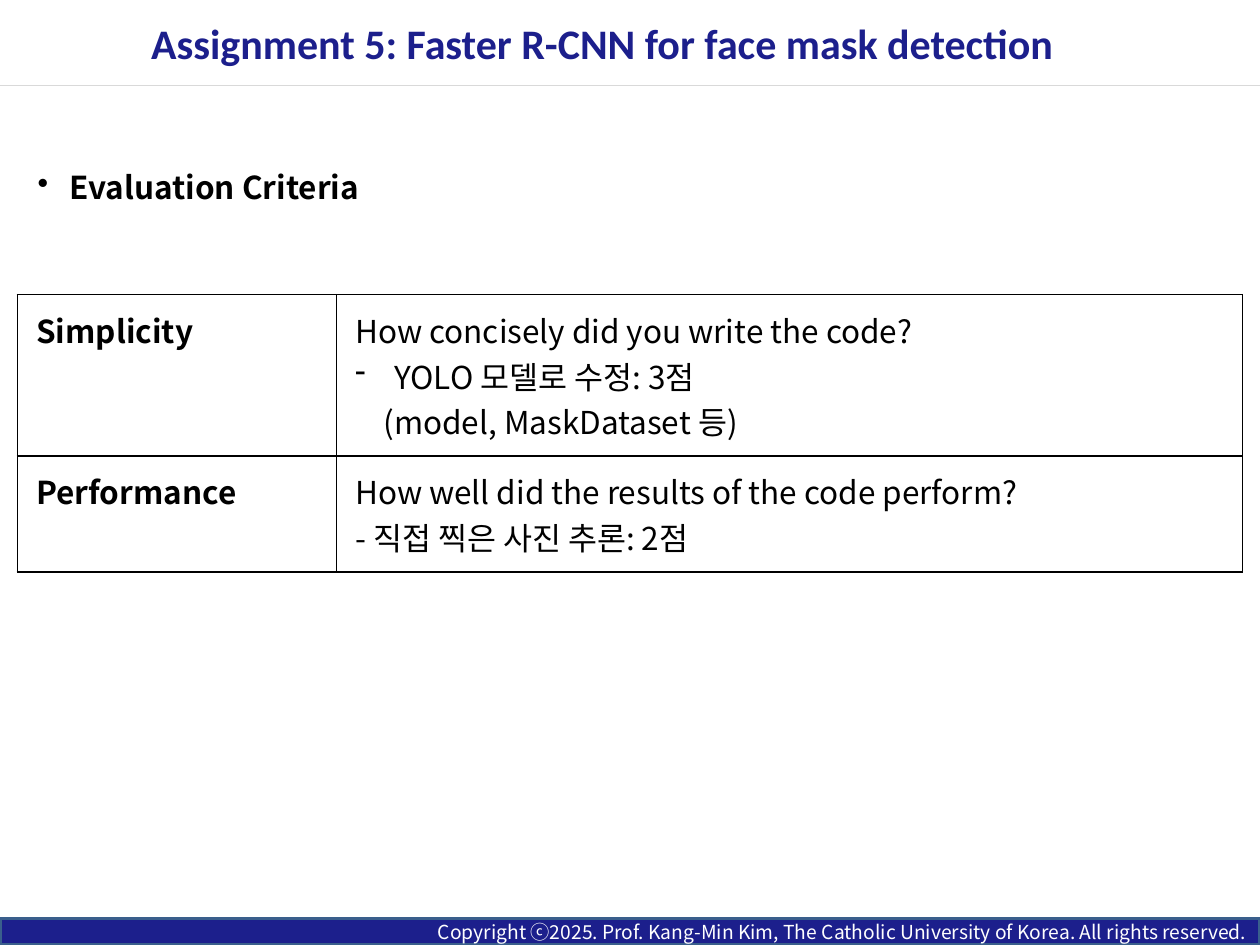
from lxml import etree
from pptx import Presentation
from pptx.dml.color import RGBColor
from pptx.enum.shapes import MSO_CONNECTOR, MSO_SHAPE
from pptx.enum.text import MSO_ANCHOR, PP_ALIGN
from pptx.oxml.ns import qn
from pptx.util import Cm, Pt

NAVY = RGBColor(0x1C, 0x1F, 0x8C)
STEEL = RGBColor(0x3A, 0x5F, 0x8C)
GREY = RGBColor(0xD9, 0xD9, 0xD9)
BLACK = RGBColor(0, 0, 0)
WHITE = RGBColor(0xFF, 0xFF, 0xFF)
RECT = MSO_SHAPE.RECTANGLE
LINE = MSO_CONNECTOR.STRAIGHT
MIDDLE = MSO_ANCHOR.MIDDLE
LEFT, RIGHT, JUST = PP_ALIGN.LEFT, PP_ALIGN.RIGHT, PP_ALIGN.JUSTIFY
SANS = "Noto Sans CJK KR"
WIDE, HIGH = Cm(25.4), Cm(19.05)

ROWS = [
    (Cm(3.25), "Simplicity", [
        ("How concisely did you write the code?", 0, None),
        ("YOLO 모델로 수정: 3점", 0.79, "-"),
        ("(model, MaskDataset 등)", 0.57, None)]),
    (Cm(2.34), "Performance", [
        ("How well did the results of the code perform?", 0, None),
        ("- 직접 찍은 사진 추론: 2점", 0, None)]),
]


def write(para, text, size, color, bold=False, face=SANS, align=LEFT, indent=0, mark=None):
    """Fill a paragraph with text, with an optional indent and bullet."""
    props = para._p.get_or_add_pPr()
    if indent:
        props.set("marL", str(Cm(indent)))
    if mark:
        props.set("indent", str(-Cm(indent)))
        etree.SubElement(props, qn("a:buChar")).set("char", mark)
    para.text = text
    para.alignment = align
    font = para.font
    font.name, font.size, font.bold = face, Pt(size), bold
    font.color.rgb = color
    east = etree.SubElement(props.find(qn("a:defRPr")), qn("a:ea"))
    east.set("typeface", face)


def add_footer(slide, left, top, width, height):
    """Draw the copyright bar."""
    bar = slide.shapes.add_shape(RECT, left, top, width, height)
    bar.shadow.inherit = False
    bar.fill.solid()
    bar.fill.fore_color.rgb = NAVY
    bar.line.color.rgb = STEEL
    bar.line.width = Pt(2)
    frame = bar.text_frame
    frame.vertical_anchor = MIDDLE
    write(frame.paragraphs[0],
          "Copyright ⓒ2025. Prof. Kang-Min Kim, The Catholic University of Korea. All rights reserved.",
          11, WHITE, align=RIGHT)


def add_title(slide, left, top, width, height):
    """Place the title above a full-width rule."""
    rule = slide.shapes.add_connector(LINE, left, top + height, left + width, top + height)
    rule.line.color.rgb = GREY
    rule.line.width = Pt(0.75)
    etree.SubElement(rule._element.spPr, qn("a:effectLst"))
    inset = Cm(2.8)
    box = slide.shapes.add_textbox(left + inset, top, width - inset, height)
    frame = box.text_frame
    frame.word_wrap = True
    frame.vertical_anchor = MIDDLE
    write(frame.paragraphs[0], "Assignment 5: Faster R-CNN for face mask detection",
          24, NAVY, True, "Calibri")


def style_cell(cell):
    """Give a cell its margins, black borders and white fill."""
    cell.margin_left = cell.margin_right = Cm(0.38)
    cell.margin_top = cell.margin_bottom = Cm(0.25)
    props = cell._tc.get_or_add_tcPr()
    for side in ("a:lnL", "a:lnR", "a:lnT", "a:lnB"):
        edge = etree.SubElement(props, qn(side))
        edge.set("w", str(Pt(1)))
        fill = etree.SubElement(edge, qn("a:solidFill"))
        etree.SubElement(fill, qn("a:srgbClr")).set("val", str(BLACK))
    cell.fill.solid()
    cell.fill.fore_color.rgb = WHITE


def add_grid(slide, left, top, width):
    """Build the table of criteria."""
    height = sum(row[0] for row in ROWS)
    table = slide.shapes.add_table(len(ROWS), 2, left, top, width, height).table
    table.first_row = table.horz_banding = False
    first = Cm(6.43)
    table.columns[0].width = first
    table.columns[1].width = width - first
    for index, (tall, name, lines) in enumerate(ROWS):
        table.rows[index].height = tall
        label, detail = table.cell(index, 0), table.cell(index, 1)
        style_cell(label)
        style_cell(detail)
        write(label.text_frame.paragraphs[0], name, 18, BLACK, True, align=JUST)
        frame = detail.text_frame
        for order, (text, indent, mark) in enumerate(lines):
            para = frame.add_paragraph() if order else frame.paragraphs[0]
            write(para, text, 18, BLACK, align=JUST, indent=indent, mark=mark)


def add_heading(slide, left, top, width, height):
    """Place the bulleted heading."""
    frame = slide.shapes.add_textbox(left, top, width, height).text_frame
    frame.word_wrap = True
    para = frame.paragraphs[0]
    para.line_spacing = 0.9
    write(para, "Evaluation Criteria", 18, BLACK, True, indent=0.64, mark="•")


def main():
    """Build the slide and save it."""
    deck = Presentation()
    deck.slide_width, deck.slide_height = WIDE, HIGH
    slide = deck.slides.add_slide(deck.slide_layouts[6])
    foot = Cm(0.53)
    add_footer(slide, 0, HIGH - foot, WIDE, foot)
    add_title(slide, 0, 0, WIDE, Cm(1.73))
    edge = Cm(0.35)
    add_grid(slide, edge, Cm(5.94), WIDE - 2 * edge)
    add_heading(slide, Cm(0.51), Cm(3.35), Cm(24.54), Cm(12.09))
    deck.save("out.pptx")


if __name__ == "__main__":
    main()
